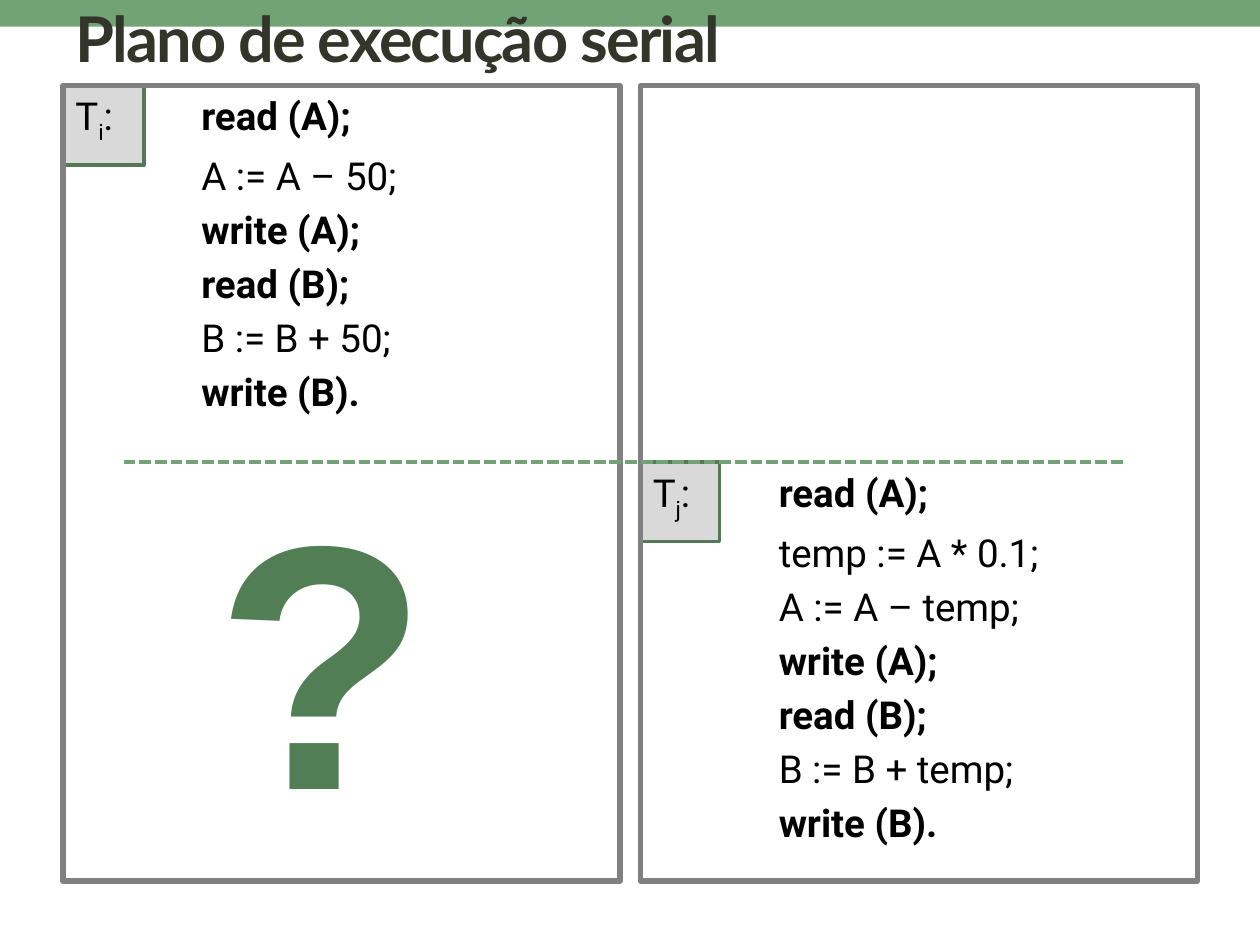
from lxml.etree import SubElement
from pptx import Presentation
from pptx.dml.color import RGBColor
from pptx.enum.dml import MSO_LINE
from pptx.enum.shapes import MSO_CONNECTOR, MSO_SHAPE
from pptx.enum.text import MSO_ANCHOR, PP_ALIGN
from pptx.oxml import parse_xml
from pptx.oxml.ns import nsdecls, qn
from pptx.util import Cm, Pt

COLORS = {
    "band": "72A376",
    "white": "FFFFFF",
    "tag": "D9D9D9",
    "tag_line": "547957",
    "frame": "808080",
    "title": "34352A",
    "code": "000000",
    "question": "527E56",
}

PANEL_TOP, PANEL_WIDTH, PANEL_HEIGHT = 1.73, 11.23, 16.03
FIRST_LEFT, SECOND_LEFT = 1.27, 12.91
DIVIDER_TOP = 9.32
TAG_SIZE = 1.6
CODE_TAB = 2.54

FIRST_STEPS = ["read (A);", "A := A – 50;", "write (A);",
               "read (B);", "B := B + 50;", "write (B)."]
SECOND_STEPS = ["read (A);", "temp := A * 0.1;", "A := A – temp;", "write (A);",
                "read (B);", "B := B + temp;", "write (B)."]


def color(name):
    return RGBColor.from_string(COLORS[name])


def add_text(paragraph, text, font="Roboto", size=22, fill="code", bold=False,
             baseline=0, spacing=0, outline=None):
    run = paragraph.add_run()
    run.text = text
    run.font.name = font
    run.font.size = Pt(size)
    run.font.bold = bold
    run.font.color.rgb = color(fill)
    properties = run.font._element
    if baseline:
        properties.set("baseline", str(baseline * 1000))
    if spacing:
        properties.set("spc", str(spacing * 100))
    if outline:
        properties.insert(0, parse_xml(
            f'<a:ln {nsdecls("a")} w="9525"><a:solidFill>'
            f'<a:srgbClr val="{COLORS[outline]}"/></a:solidFill></a:ln>'))


def add_tab_stop(paragraph, position):
    tab_list = SubElement(paragraph._element.get_or_add_pPr(), qn("a:tabLst"))
    SubElement(tab_list, qn("a:tab"), pos=str(Cm(position)), algn="l")


def add_box(slide, left, top, width, height, fill=None, line=None, line_width=1):
    shape = slide.shapes.add_shape(
        MSO_SHAPE.RECTANGLE, Cm(left), Cm(top), Cm(width), Cm(height))
    shape.shadow.inherit = False
    if fill:
        shape.fill.solid()
        shape.fill.fore_color.rgb = color(fill)
    else:
        shape.fill.background()
    if line:
        shape.line.color.rgb = color(line)
        shape.line.width = Pt(line_width)
    else:
        shape.line.fill.background()
    return shape


def add_label(slide, left, top, width, height, text, wrap=True,
              anchor=MSO_ANCHOR.TOP, align=PP_ALIGN.LEFT, **text_format):
    frame = slide.shapes.add_textbox(
        Cm(left), Cm(top), Cm(width), Cm(height)).text_frame
    frame.word_wrap = wrap
    frame.vertical_anchor = anchor
    frame.paragraphs[0].alignment = align
    add_text(frame.paragraphs[0], text, **text_format)


def add_transaction(slide, left, index, steps, text_top):
    panel = add_box(slide, left, PANEL_TOP, PANEL_WIDTH, PANEL_HEIGHT,
                    line="frame", line_width=3)
    frame = panel.text_frame
    frame.word_wrap = True
    frame.vertical_anchor = MSO_ANCHOR.TOP
    frame.margin_top = Cm(text_top)
    for number, step in enumerate(steps):
        paragraph = frame.add_paragraph() if number else frame.paragraphs[0]
        paragraph.alignment = PP_ALIGN.JUSTIFY
        paragraph.space_before = Pt(4.4 if number else 0)
        add_tab_stop(paragraph, CODE_TAB)
        if number:
            add_text(paragraph, "\t")
        else:
            add_text(paragraph, "T")
            add_text(paragraph, index, baseline=-25)
            add_text(paragraph, ": \t")
        add_text(paragraph, step, bold=step.startswith(("read", "write")))


def add_divider(slide, start, end, top):
    connector = slide.shapes.add_connector(
        MSO_CONNECTOR.STRAIGHT, Cm(start), Cm(top), Cm(end), Cm(top))
    connector.line.color.rgb = color("band")
    connector.line.width = Pt(2.25)
    connector.line.dash_style = MSO_LINE.SQUARE_DOT
    SubElement(connector._element.spPr, qn("a:effectLst"))


def main():
    presentation = Presentation()
    presentation.slide_width = Cm(25.4)
    presentation.slide_height = Cm(19.05)
    slide = presentation.slides.add_slide(presentation.slide_layouts[6])

    add_box(slide, 0, -0.48, 25.4, 1.02, fill="band")
    add_box(slide, 0, 0.61, 25.4, 0.63, fill="white")
    for left, top in ((SECOND_LEFT, DIVIDER_TOP), (FIRST_LEFT + 0.03, PANEL_TOP)):
        add_box(slide, left, top, TAG_SIZE, TAG_SIZE,
                fill="tag", line="tag_line", line_width=2.08)

    add_label(slide, 1.27, -0.03, 22.86, 1.55, "Plano de execução serial",
              anchor=MSO_ANCHOR.MIDDLE, font="Lato", size=36, fill="title",
              bold=True, spacing=-1)
    add_transaction(slide, FIRST_LEFT, "i", FIRST_STEPS, 0.13)
    add_transaction(slide, SECOND_LEFT, "j", SECOND_STEPS,
                    DIVIDER_TOP - PANEL_TOP + 0.14)
    add_divider(slide, 2.49, 22.71, DIVIDER_TOP)
    add_label(slide, 4.06, 8.78, 4.85, 8.76, "?", wrap=False,
              align=PP_ALIGN.CENTER, font="Arial", size=199, fill="question",
              bold=True, outline="white")

    presentation.save("out.pptx")


if __name__ == "__main__":
    main()
